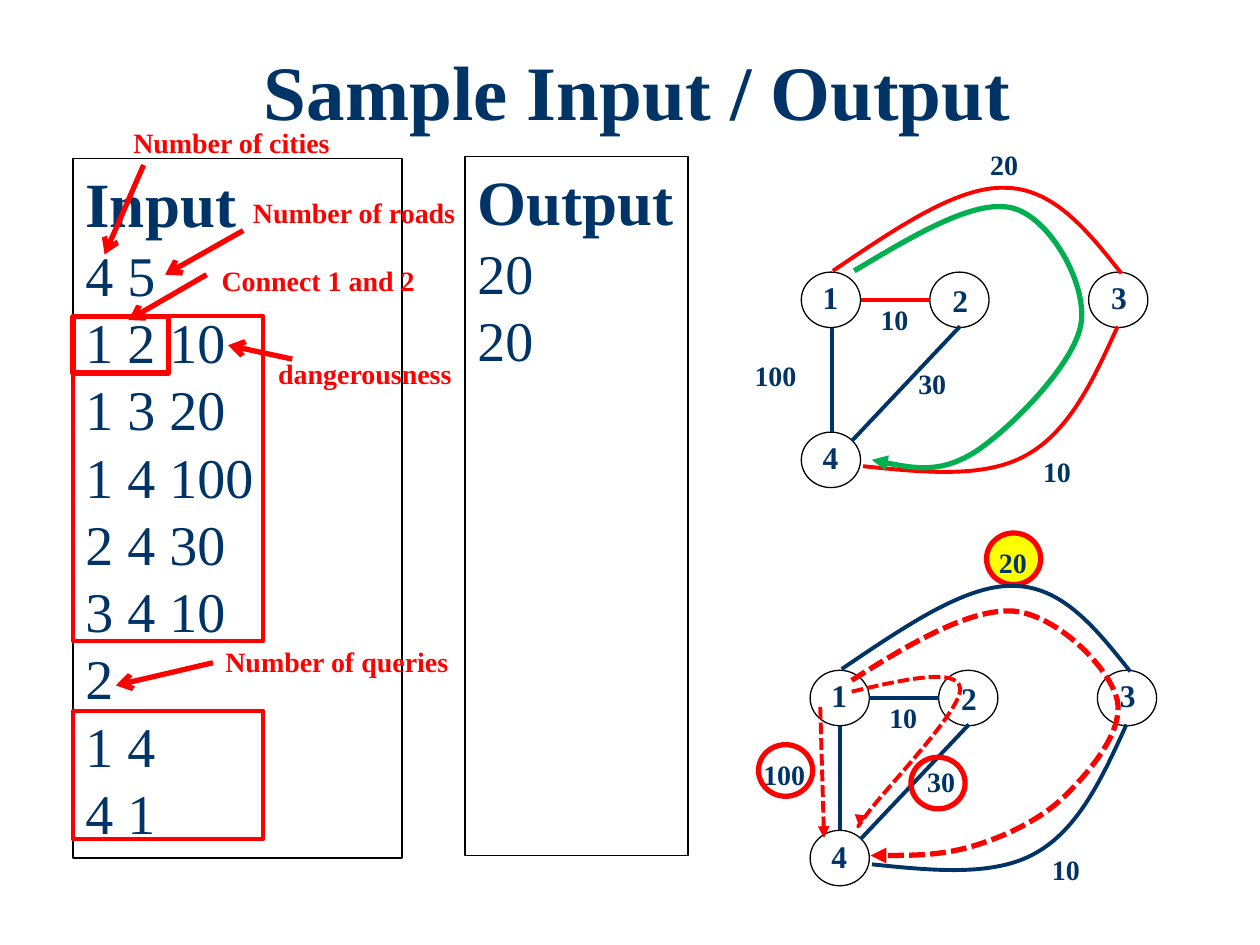
from pptx import Presentation
from pptx.dml.color import RGBColor
from pptx.enum.dml import MSO_LINE
from pptx.enum.shapes import MSO_CONNECTOR, MSO_SHAPE
from pptx.enum.text import MSO_ANCHOR, PP_ALIGN
from pptx.oxml.ns import qn
from pptx.util import Inches, Pt
from lxml.etree import SubElement

NAVY, RED, GREEN = "003366", "FF0000", "00B050"
BLACK, WHITE, YELLOW = "000000", "FFFFFF", "FFFF00"


def color(value):
    return RGBColor.from_string(value)


class SlideBuilder:
    font_name = "Times New Roman"

    def __init__(self, slide):
        self.slide = slide
        self.shapes = slide.shapes

    def style_font(self, paragraph, size, text_color=NAVY, bold=True):
        font = paragraph.font
        font.name, font.size, font.bold = self.font_name, Pt(size), bold
        font.color.rgb = color(text_color)

    def style_line(self, shape, line_color, width, head=None, dashed=False):
        shape.line.color.rgb = color(line_color)
        shape.line.width = Pt(width)
        if dashed:
            shape.line.dash_style = MSO_LINE.SQUARE_DOT
        if head:
            SubElement(shape.element.spPr.find(qn("a:ln")), qn("a:tailEnd"), type=head)

    def title(self, text, left, top, width, height):
        title = self.shapes.title
        title.left, title.top = Inches(left), Inches(top)
        title.width, title.height = Inches(width), Inches(height)
        title.text_frame.vertical_anchor = MSO_ANCHOR.TOP
        title.text_frame.margin_top = Inches(0.07)
        paragraph = title.text_frame.paragraphs[0]
        paragraph.text = text
        paragraph.alignment = PP_ALIGN.CENTER
        paragraph.line_spacing = 0.9
        self.style_font(paragraph, 44)

    def outline(self, kind, left, top, width, height, line_color=RED, weight=3, fill=None):
        shape = self.shapes.add_shape(kind, Inches(left), Inches(top), Inches(width), Inches(height))
        shape.shadow.inherit = False
        if fill:
            shape.fill.solid()
            shape.fill.fore_color.rgb = color(fill)
        else:
            shape.fill.background()
        self.style_line(shape, line_color, weight)
        return shape

    def panel(self, heading, rows, left, top, width, wrap):
        shape = self.outline(MSO_SHAPE.RECTANGLE, left, top, width, 5.55, BLACK, 0.75, WHITE)
        frame = shape.text_frame
        frame.word_wrap = wrap
        frame.vertical_anchor = MSO_ANCHOR.TOP
        for index, text in enumerate([heading] + rows):
            paragraph = frame.add_paragraph() if index else frame.paragraphs[0]
            paragraph.text = text
            paragraph.alignment = PP_ALIGN.LEFT
            self.style_font(paragraph, 32 if index else 36, bold=index == 0)

    def label(self, text, left, top, width, size=16, text_color=NAVY):
        height = 0.37 if size == 16 else 0.4
        box = self.shapes.add_textbox(Inches(left), Inches(top), Inches(width), Inches(height))
        box.text_frame.word_wrap = False
        paragraph = box.text_frame.paragraphs[0]
        paragraph.text = text
        self.style_font(paragraph, size, text_color)

    def line(self, start, end, line_color=RED, width=2.25, head=None, dashed=False):
        connector = self.shapes.add_connector(
            MSO_CONNECTOR.STRAIGHT, *(Inches(value) for value in (*start, *end)))
        self.style_line(connector, line_color, width, head, dashed)
        SubElement(connector.element.spPr, qn("a:effectLst"))

    def curve(self, points, line_color=RED, width=2.25, head=None, dashed=False):
        """Smooth line: a start, then two control points and an end per part."""
        corners = [(Inches(x), Inches(y)) for x, y in points[::3]]
        builder = self.shapes.build_freeform(*corners[0])
        builder.add_line_segments(corners[1:], close=False)
        shape = builder.convert_to_shape()
        # Bend each straight segment with its two control points
        for index, segment in enumerate(list(shape.element.iter(qn("a:lnTo")))):
            segment.tag = qn("a:cubicBezTo")
            for position, (x, y) in enumerate(points[3 * index + 1:3 * index + 3]):
                control = segment.makeelement(qn("a:pt"), {
                    "x": str(Inches(x) - shape.left), "y": str(Inches(y) - shape.top)})
                segment.insert(position, control)
        shape.shadow.inherit = False
        shape.fill.background()
        self.style_line(shape, line_color, width, head, dashed)

    def graph(self, dx, dy, road_color):
        """Four cities and five roads, shifted by dx and dy."""
        def move(*points):
            return [(x + dx, y + dy) for x, y in points]

        # Cities
        for name, x, y, right, down in (("1", 6.36, 2.16, 0.07, 0), ("2", 7.38, 2.16, 0.08, 0.02),
                                        ("3", 8.64, 2.16, 0.08, 0), ("4", 6.36, 3.43, 0.07, 0)):
            self.outline(MSO_SHAPE.OVAL, x + dx, y + dy, 0.47, 0.44, BLACK, 0.75, WHITE)
            self.label(name, x + dx + right, y + dy + down, 0.33, 18)
        # Roads
        self.line(*move((6.83, 2.38), (7.38, 2.38)), road_color)
        self.line(*move((6.6, 2.6), (6.6, 3.43)), NAVY)
        self.line(*move((6.76, 3.5), (7.62, 2.59)), NAVY)
        self.curve(move((6.61, 2.15), (7.1, 1.82), (7.59, 1.48), (7.97, 1.49),
                        (8.36, 1.49), (8.63, 1.83), (8.9, 2.17)), road_color)
        self.curve(move((8.87, 2.59), (8.68, 3.01), (8.49, 3.42), (8.15, 3.61),
                        (7.82, 3.8), (7.33, 3.75), (6.85, 3.7)), road_color)
        # Dangerousness of each road
        for text, x, y, width in (("10", 6.89, 2.35, 0.43), ("20", 7.76, 1.12, 0.43),
                                  ("100", 5.89, 2.8, 0.54), ("30", 7.19, 2.86, 0.43),
                                  ("10", 8.18, 3.56, 0.43)):
            self.label(text, x + dx, y + dy, width)


def main():
    presentation = Presentation()
    presentation.slide_width, presentation.slide_height = Inches(10), Inches(7.5)
    builder = SlideBuilder(presentation.slides.add_slide(presentation.slide_layouts[5]))

    # Title and the two panels
    builder.title("Sample Input / Output", 1.06, 0.36, 8, 0.92)
    builder.panel("Input", ["4 5", "1 2 10", "1 3 20", "1 4 100", "2 4 30", "3 4 10",
                            "2", "1 4", "4 1"], 0.58, 1.26, 2.61, True)
    builder.panel("Output", ["20", "20"], 3.69, 1.24, 1.77, False)

    # Frames around the input groups
    for top, width, height, weight in ((2.51, 1.51, 2.58, 2.25), (5.64, 1.51, 1.02, 2.25),
                                       (2.51, 0.76, 0.45, 3)):
        builder.outline(MSO_SHAPE.RECTANGLE, 0.58, top, width, height, RED, weight)

    # Notes with arrows to the input
    notes = [("Number of cities", 0.96, 0.95, 1.84, (1.14, 1.31), (0.83, 2.02)),
             ("Number of roads", 1.91, 1.5, 1.83, (1.93, 1.83), (1.31, 2.18)),
             ("Number of queries", 1.69, 5.07, 1.99, (1.69, 5.26), (0.92, 5.44)),
             ("Connect 1 and 2", 1.66, 2.04, 1.75, (1.64, 2.18), (1.02, 2.54)),
             ("dangerousness", 2.11, 2.78, 1.6, (2.32, 2.85), (1.81, 2.74))]
    for text, left, top, width, start, end in notes:
        builder.line(start, end, RED, 3, "arrow")
        builder.label(text, left, top, width, text_color=RED)

    # Upper graph with the best route
    builder.graph(0, 0, RED)
    builder.curve([(6.78, 2.15), (7.25, 1.87), (7.73, 1.58), (8.03, 1.65),
                   (8.33, 1.72), (8.63, 2.25), (8.58, 2.57), (8.53, 2.89), (8.02, 3.4),
                   (7.75, 3.58), (7.47, 3.76), (7.19, 3.71), (6.92, 3.65)],
                  GREEN, 3, "triangle")

    # Lower graph with the three routes and their worst roads
    builder.outline(MSO_SHAPE.OVAL, 7.83, 4.23, 0.43, 0.41, fill=YELLOW)
    builder.graph(0.07, 3.16, NAVY)
    builder.curve([(6.76, 5.4), (7.22, 5.11), (7.69, 4.83), (8.04, 4.85),
                   (8.39, 4.88), (8.79, 5.29), (8.86, 5.53), (8.94, 5.77), (8.67, 6.1),
                   (8.48, 6.29), (8.29, 6.49), (8, 6.63), (7.74, 6.71),
                   (7.48, 6.79), (7.19, 6.79), (6.91, 6.79)], RED, 3, "triangle", True)
    builder.curve([(6.76, 5.49), (7.18, 5.39), (7.6, 5.3), (7.62, 5.46),
                   (7.65, 5.62), (7.03, 6.26), (6.89, 6.45),
                   (6.76, 6.63), (6.79, 6.6), (6.82, 6.56)], RED, 2.25, "triangle", True)
    builder.line((6.51, 5.61), (6.54, 6.65), head="triangle", dashed=True)
    for left, top in ((6.02, 5.91), (7.23, 6.01)):
        builder.outline(MSO_SHAPE.OVAL, left, top, 0.43, 0.41)

    presentation.save("out.pptx")


if __name__ == "__main__":
    main()
